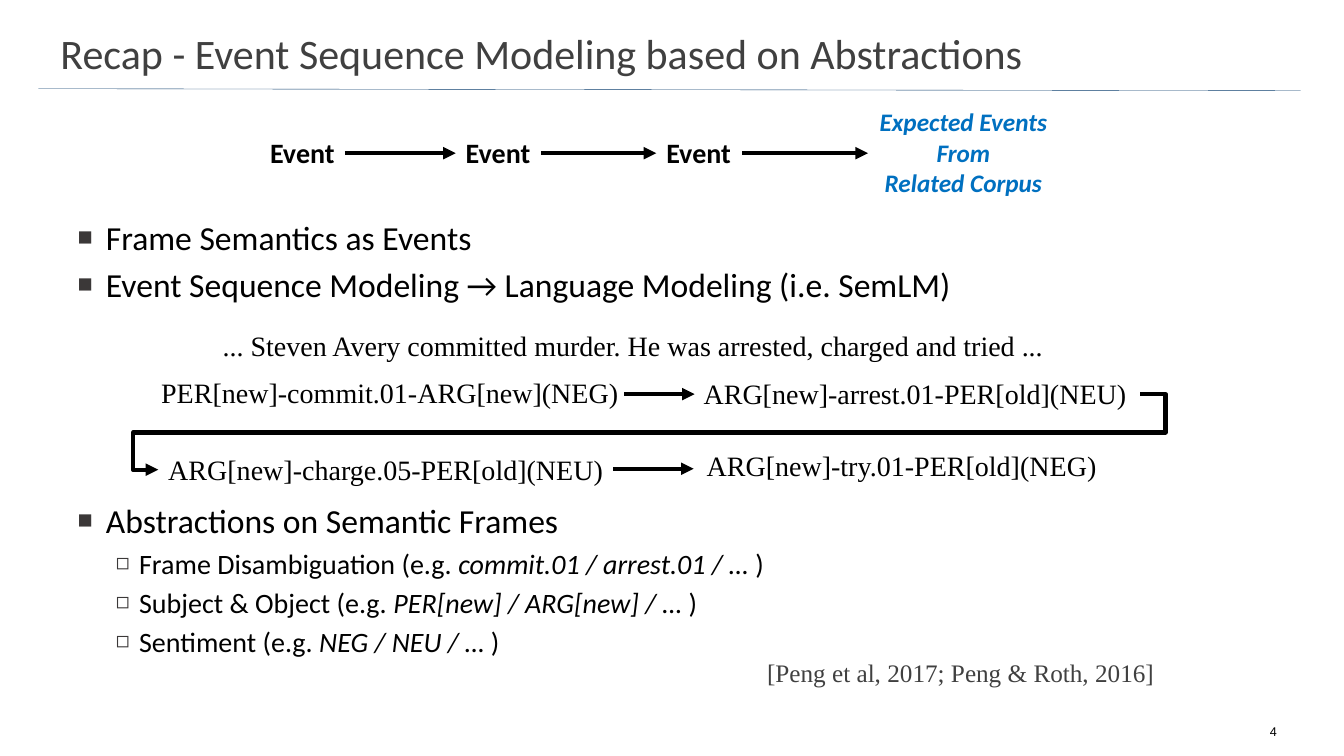
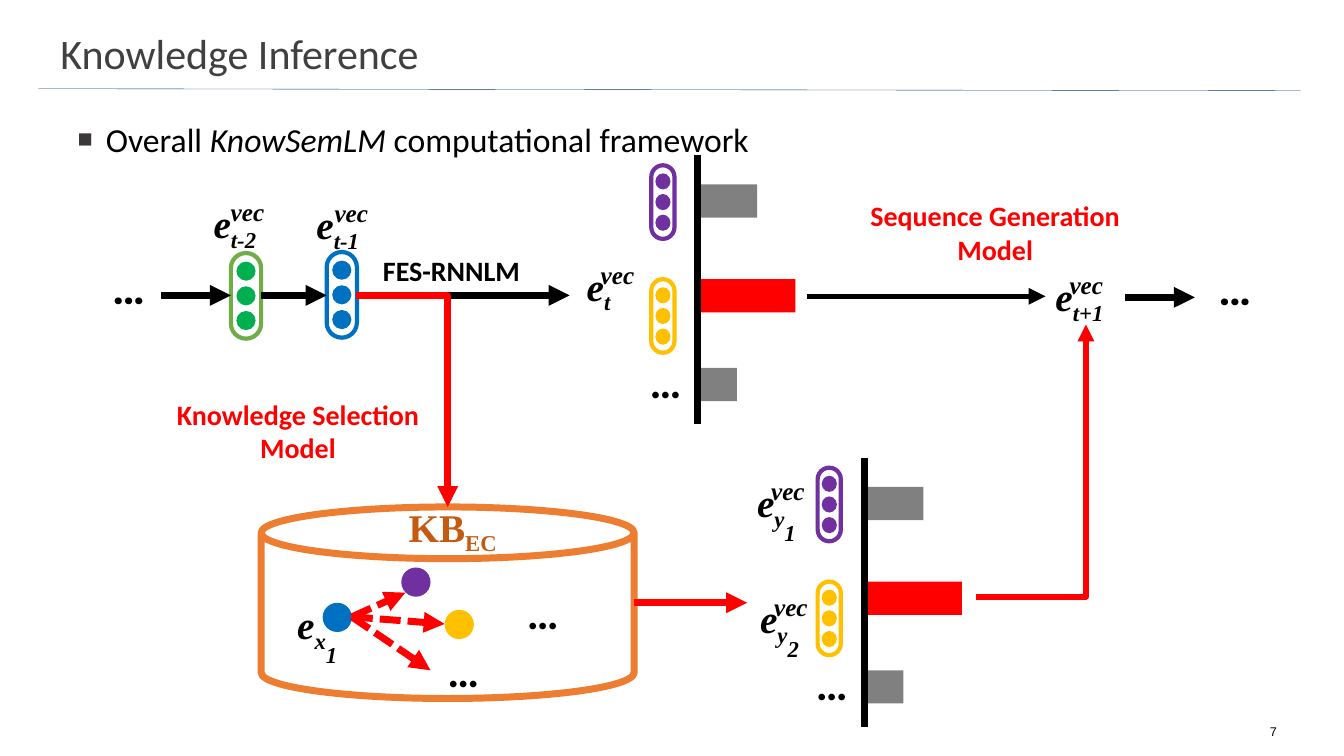
from lxml import etree
from pptx import Presentation
from pptx.dml.color import RGBColor
from pptx.enum.dml import MSO_LINE
from pptx.enum.shapes import MSO_CONNECTOR, MSO_SHAPE
from pptx.enum.text import MSO_AUTO_SIZE, PP_ALIGN
from pptx.oxml.ns import qn
from pptx.util import Inches, Pt

STRAIGHT = MSO_CONNECTOR.STRAIGHT
DASHED = MSO_LINE.SQUARE_DOT
CAPSULE, CIRCLE = MSO_SHAPE.ROUNDED_RECTANGLE, MSO_SHAPE.OVAL
RECTANGLE, CYLINDER = MSO_SHAPE.RECTANGLE, MSO_SHAPE.CAN
LEFT, CENTER = PP_ALIGN.LEFT, PP_ALIGN.CENTER
FIXED = MSO_AUTO_SIZE.NONE


class Theme:
    black, red, gray = "000000", "FF0000", "808080"
    blue, purple, yellow = "0070C0", "7030A0", "FFC000"
    green, leaf, orange, rust = "00B050", "70AD47", "ED7D31", "C55A11"
    ink, bullet, rule = "404040", "3B3838", "093D6E"
    sans, serif = "Calibri", "Times New Roman"
    title = {"name": sans, "size": Pt(30), "rgb": ink}
    body = [{"name": sans, "size": Pt(24), "rgb": black},
            {"name": sans, "size": Pt(20), "rgb": black}]
    bullets = [("■", 0.28, 0.28, "75000"), ("◻", 0.61, 0.23, "80000")]
    number = {"name": "Arial", "size": Pt(9), "rgb": black}
    citation = {"name": serif, "size": Pt(18), "rgb": ink}
    frame = {"name": serif, "size": Pt(20), "rgb": black}
    event = {"name": sans, "size": Pt(20), "rgb": black, "bold": True}
    expected = {"name": sans, "size": Pt(18), "rgb": blue, "bold": True, "italic": True}
    model = {"name": sans, "size": Pt(20), "rgb": red, "bold": True}
    symbol = {"name": serif, "size": Pt(28), "rgb": black, "bold": True, "italic": True}
    exponent = {**symbol, "size": Pt(18)}
    knowledge = {"name": serif, "size": Pt(28), "rgb": rust, "bold": True}
    dots = {"name": sans, "size": Pt(32), "rgb": black, "bold": True}
    wide_dots = {**dots, "name": "Roboto"}


CELL = Inches(1)


def place(*cells):
    return [round(cell * CELL) for cell in cells]


def write(paragraph, runs, style):
    for text, extra in runs:
        run = paragraph.add_run()
        run.text = text
        for name, value in {**style, **extra}.items():
            if name == "rgb":
                run.font.color.rgb = RGBColor.from_string(value)
            elif name == "baseline":
                run.font._element.set("baseline", str(value * 1000))
            else:
                setattr(run.font, name, value)


presentation = Presentation()
presentation.slide_width, presentation.slide_height = place(13.33, 7.5)
layout = presentation.slide_layouts[1]
title = layout.placeholders[0]
title.left, title.top, title.width, title.height = place(0.5, 0.23, 10.81, 0.58)

ITALIC = {"italic": True}
pages = [
    ("Recap - Event Sequence Modeling based on Abstractions", "4", 2.1, [
        (0, 0, [("Frame Semantics as Events", {})]),
        (0, 4.8, [("Event Sequence Modeling → Language Modeling (i.e. SemLM)", {})]),
        (0, 140, [("Abstractions on Semantic Frames", {})]),
        (1, 4, [("Frame Disambiguation (e.g. ", {}),
                ("commit.01 / arrest.01 / … ", ITALIC), (")", {})]),
        (1, 4, [("Subject & Object (e.g. ", {}),
                ("PER[new] / ARG[new] / … ", ITALIC), (")", {})]),
        (1, 4, [("Sentiment (e.g. ", {}), ("NEG / NEU / … ", ITALIC), (")", {})]),
    ]),
    ("Knowledge Inference", "7", 1.13, [
        (0, 0, [("Overall ", {}), ("KnowSemLM ", ITALIC), ("computational framework", {})]),
    ]),
]

texts = []
for heading, number, top, items in pages:
    slide = presentation.slides.add_slide(layout)
    paragraph = slide.shapes.title.text_frame.paragraphs[0]
    paragraph.alignment = LEFT
    write(paragraph, [(heading, {})], Theme.title)
    body = slide.placeholders[1]
    body.left, body.top, body.width, body.height = place(0.67, top, 12, 4.9)
    body.text_frame.auto_size = FIXED
    for index, (level, space, runs) in enumerate(items):
        frame = body.text_frame
        paragraph = frame.add_paragraph() if index else frame.paragraphs[0]
        paragraph.level = level
        mark, margin, hanging, percent = Theme.bullets[level]
        properties = paragraph._p.get_or_add_pPr()
        properties.set("marL", str(Inches(margin)))
        properties.set("indent", str(-Inches(hanging)))
        color = etree.SubElement(properties, qn("a:buClr"))
        etree.SubElement(color, qn("a:srgbClr"), val=Theme.bullet)
        etree.SubElement(properties, qn("a:buSzPct"), val=percent)
        etree.SubElement(properties, qn("a:buChar"), char=mark)
        paragraph.space_before = Pt(space)
        write(paragraph, runs, Theme.body[level])
    texts.append((slide, (12.35, 7.13, 0.56, 0.25), [[(number, {})]], Theme.number, CENTER, True))

recap, inference = presentation.slides

rule = recap.shapes.add_connector(STRAIGHT, *place(0.38, 0.88, 12.9, 0.9))
rule.line.color.rgb = RGBColor.from_string(Theme.rule)
rule.line.width = Pt(0.25)
etree.SubElement(rule.element.spPr, qn("a:effectLst"))
rule.element.nvCxnSpPr.cNvPr.set("id", "20")
layout.shapes.element.append(rule.element)

for left in (2.58, 4.52, 6.51):
    texts.append((recap, (left, 1.3, 0.85, 0.44), [[("Event", {})]], Theme.event, LEFT, False))
texts.append((recap, (8.61, 1.01, 1.89, 1.01),
              [[(line, {})] for line in ("Expected Events", "From", "Related Corpus")],
              Theme.expected, CENTER, True))
texts.append((recap, (7.51, 6.47, 4.08, 0.4),
              [[("[Peng et al, 2017; Peng & Roth, 2016]", {})]], Theme.citation, LEFT, False))
for left, top, width, sentence, wrap in [
    (2.11, 3.21, 8.5,
     "... Steven Avery committed murder. He was arrested, charged and tried ...", True),
    (1.5, 3.68, 4.86, "PER[new]-commit.01-ARG[new](NEG)", True),
    (6.88, 3.69, 4.43, "ARG[new]-arrest.01-PER[old](NEU)", False),
    (1.57, 4.44, 4.62, "ARG[new]-charge.05-PER[old](NEU)", False),
    (6.91, 4.4, 4.1, "ARG[new]-try.01-PER[old](NEG)", False),
]:
    texts.append((recap, (left, top, width, 0.44), [[(sentence, {})]], Theme.frame, LEFT, wrap))

for left, top, width, shift, subscripts in [
    (2.02, 1.93, 0.67, 0.17, ["t-2"]), (3.04, 1.94, 0.67, 0.18, ["t-1"]),
    (5.72, 2.55, 0.51, 0.14, ["t"]), (10.37, 2.65, 0.79, 0.14, ["t+1"]),
    (7.41, 4.7, 0.69, 0.14, ["y", "1"]), (7.44, 5.85, 0.69, 0.14, ["y", "2"]),
    (2.85, 5.91, 0.64, None, ["x", "1"]),
]:
    runs = [("e", {})]
    runs += [(text, {"baseline": drop}) for text, drop in zip(subscripts, (-25, -60))]
    texts.append((inference, (left, top, width, 0.57), [runs], Theme.symbol, LEFT, shift is None))
    if shift is not None:
        texts.append((inference, (left + shift, top - 0.03, 0.54, 0.4),
                      [[("vec", {})]], Theme.exponent, LEFT, False))

for left, top, width, style in [
    (0.95, 2.53, 0.65, Theme.wide_dots), (11.92, 2.54, 0.65, Theme.wide_dots),
    (4.27, 6.33, 0.65, Theme.dots), (5.06, 5.75, 0.65, Theme.dots),
    (6.34, 3.46, 0.52, Theme.dots), (7.99, 6.46, 0.52, Theme.dots),
]:
    texts.append((inference, (left, top, width, 0.64), [[("…", {})]], style, CENTER, False))

for left, top, width, name in [(1.64, 3.89, 2.63, "Knowledge Selection"),
                               (8.52, 1.92, 2.7, "Sequence Generation")]:
    texts.append((inference, (left, top, width, 0.77), [[(name, {})], [("Model", {})]],
                  Theme.model, CENTER, False))
texts.append((inference, (3.7, 2.47, 1.57, 0.44), [[("FES-RNNLM", {})]],
              Theme.event, LEFT, False))
texts.append((inference, (3.92, 4.94, 1.14, 0.57), [[("KB", {}), ("EC", {"baseline": -25})]],
              Theme.knowledge, CENTER, True))

capsules = [(2.29, 2.51, 0.3, 0.85, 0.19, 0.19, 0.245, Theme.leaf, Theme.green),
            (3.24, 2.5, 0.3, 0.85, 0.19, 0.19, 0.245, Theme.blue, Theme.blue)]
solids = [(CIRCLE, 3.2, 5.98, 0.29, 0.29, Theme.blue),
          (CIRCLE, 3.98, 5.63, 0.29, 0.29, Theme.purple),
          (CIRCLE, 4.41, 6.05, 0.29, 0.29, Theme.yellow)]
lines = []
for right, down in [(0, 0), (1.65, 3)]:
    lines.append((inference, [(6.92 + right, 1.54 + down), (6.92 + right, 4.21 + down)],
                  Theme.black, 5, None, False))
    for top, width, color in [(1.83, 0.56, Theme.gray), (2.77, 0.94, Theme.red),
                              (3.65, 0.36, Theme.gray)]:
        solids.append((RECTANGLE, 6.95 + right, top + down, width, 0.33, color))
    for top, color in [(1.64, Theme.purple), (2.77, Theme.yellow)]:
        capsules.append((6.46 + right, top + down, 0.23, 0.73, 0.15, 0.16, 0.205, color, color))

outlines = [(inference.shapes, CYLINDER, 2.59, 5.03, 3.7, 1.9, 0.27, Theme.orange, 5)]
drawn = [(inference.shapes, *solid) for solid in solids]
for left, top, width, height, dot_width, dot_height, pitch, edge, color in capsules:
    group = inference.shapes.add_group_shape()
    outlines.append((group.shapes, CAPSULE, left, top, width, height, 0.5, edge, 3))
    for step in (-1, 0, 1):
        drawn.append((group.shapes, CIRCLE, left + (width - dot_width) / 2,
                      top + (height - dot_height) / 2 + step * pitch,
                      dot_width, dot_height, color))

for shapes, kind, left, top, width, height, adjustment, color, weight in outlines:
    shape = shapes.add_shape(kind, *place(left, top, width, height))
    shape.adjustments[0] = adjustment
    shape.fill.background()
    shape.line.color.rgb = RGBColor.from_string(color)
    shape.line.width = Pt(weight)
    shape.shadow.inherit = False

for shapes, kind, left, top, width, height, color in drawn:
    shape = shapes.add_shape(kind, *place(left, top, width, height))
    shape.fill.solid()
    shape.fill.fore_color.rgb = RGBColor.from_string(color)
    shape.line.fill.background()
    shape.shadow.inherit = False

for start, end, row in [(3.42, 4.52, 1.52), (5.37, 6.51, 1.52), (7.36, 8.61, 1.52),
                        (6.19, 6.89, 3.91), (6.08, 6.88, 4.65)]:
    lines.append((recap, [(start, row), (end, row)], Theme.black, 3, None, True))
lines.append((recap, [(11.31, 3.91), (11.56, 3.91), (11.56, 4.29), (1.32, 4.29),
                      (1.32, 4.66), (1.57, 4.66)], Theme.black, 3, None, True))
for start, end, row, color, weight in [
    (1.6, 2.29, 2.93, Theme.black, 5), (2.59, 3.24, 2.93, Theme.black, 5),
    (3.53, 5.65, 2.93, Theme.black, 5), (8, 10.37, 2.94, Theme.black, 4),
    (11.16, 11.85, 2.95, Theme.black, 5), (6.29, 7.41, 5.98, Theme.red, 5),
]:
    lines.append((inference, [(start, row), (end, row)], color, weight, None, True))
for end in [(4.02, 5.88), (4.41, 6.19), (4.27, 6.65)]:
    lines.append((inference, [(3.49, 6.12), end], Theme.red, 5, DASHED, True))
for points, weight in [([(3.53, 2.93), (4.44, 2.93), (4.44, 5.03)], 5),
                       ([(9.68, 5.92), (10.77, 5.92), (10.77, 3.22)], 4)]:
    lines.append((inference, points, Theme.red, weight, None, True))

for slide, points, color, weight, dash, arrow in lines:
    corners = [place(*point) for point in points]
    if len(corners) == 2:
        line = slide.shapes.add_connector(STRAIGHT, *corners[0], *corners[1])
    else:
        builder = slide.shapes.build_freeform(*corners[0])
        builder.add_line_segments(corners[1:], close=False)
        line = builder.convert_to_shape()
        line.fill.background()
    line.line.color.rgb = RGBColor.from_string(color)
    line.line.width = Pt(weight)
    if dash:
        line.line.dash_style = dash
    properties = line.element.spPr
    if arrow:
        etree.SubElement(properties.find(qn("a:ln")), qn("a:tailEnd"), type="triangle")
    etree.SubElement(properties, qn("a:effectLst"))

for slide, box, paragraphs, style, alignment, wrap in texts:
    frame = slide.shapes.add_textbox(*place(*box)).text_frame
    frame.word_wrap = wrap
    for index, runs in enumerate(paragraphs):
        paragraph = frame.add_paragraph() if index else frame.paragraphs[0]
        paragraph.alignment = alignment
        write(paragraph, runs, style)

presentation.save("out.pptx")
